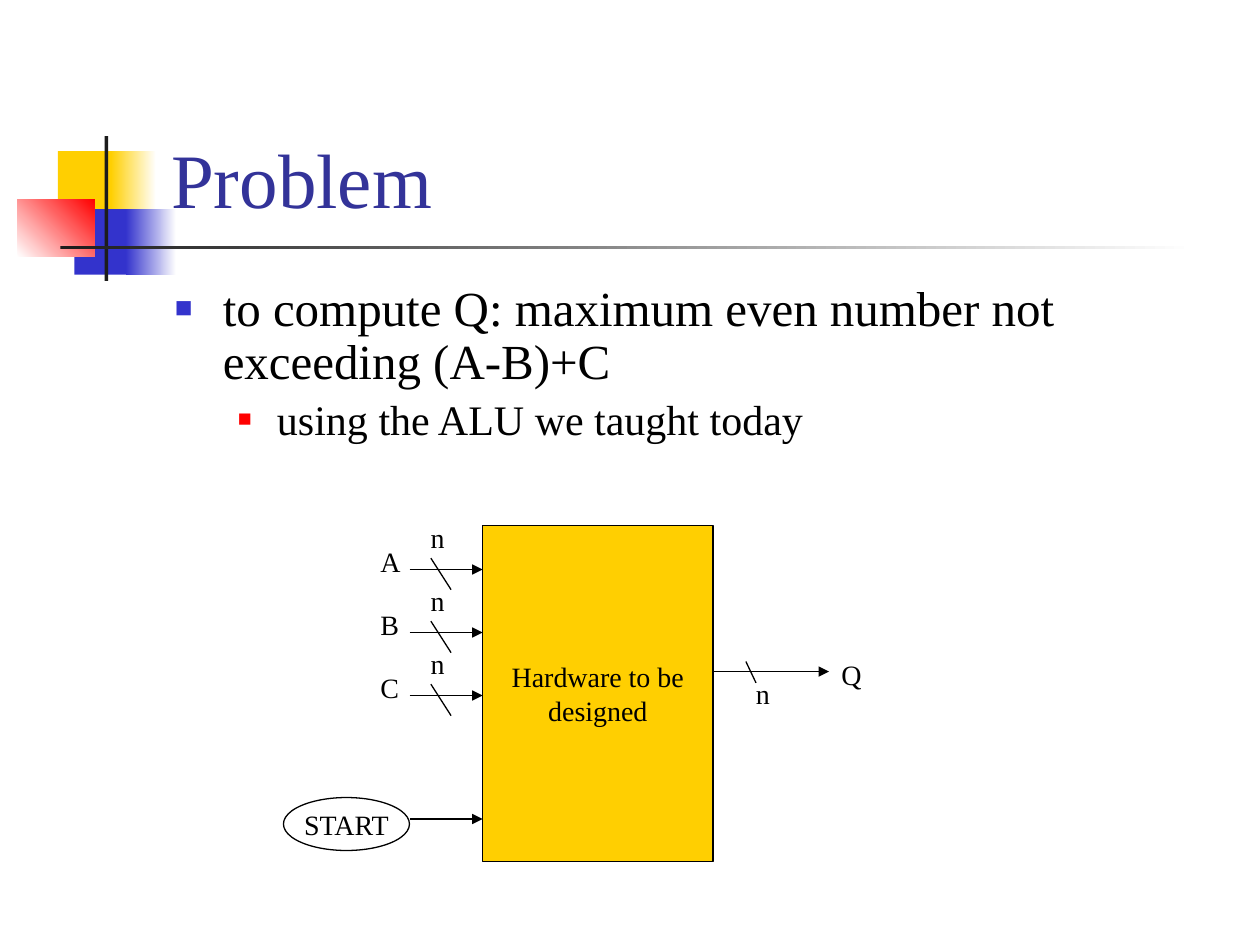
"""Build the slide that poses the hardware design problem."""
from dataclasses import dataclass

from lxml import etree
from pptx import Presentation
from pptx.dml.color import RGBColor
from pptx.enum.shapes import MSO_CONNECTOR, MSO_SHAPE
from pptx.enum.text import MSO_ANCHOR, MSO_AUTO_SIZE, PP_ALIGN
from pptx.oxml.ns import qn
from pptx.util import Inches, Pt

RECTANGLE, OVAL = MSO_SHAPE.RECTANGLE, MSO_SHAPE.OVAL
STRAIGHT = MSO_CONNECTOR.STRAIGHT
TOP, MIDDLE, BOTTOM = MSO_ANCHOR.TOP, MSO_ANCHOR.MIDDLE, MSO_ANCHOR.BOTTOM
CENTER = PP_ALIGN.CENTER
GROW = MSO_AUTO_SIZE.SHAPE_TO_FIT_TEXT


@dataclass(frozen=True)
class Theme:
    font: str = "Times New Roman"
    title_size: int = 44
    label_size: int = 16
    title: str = "333399"
    ink: str = "000000"
    paper: str = "FFFFFF"
    yellow: str = "FFCF01"
    blue: str = "3333CC"
    red: str = "FF0000"
    dark: str = "1C1C1C"
    line_width: float = 0.75


@dataclass(frozen=True)
class Box:
    left: float
    top: float
    width: float
    height: float

    def lengths(self) -> tuple:
        return tuple(Inches(n) for n in (self.left, self.top, self.width, self.height))


@dataclass(frozen=True)
class Decoration:
    box: Box
    start: str
    end: str = ""
    angle: int = 0


@dataclass(frozen=True)
class Bullet:
    text: str
    size: int
    margin: float
    indent: float
    color: str
    scale: int


THEME = Theme()
DECORATIONS = (
    Decoration(Box(0.46, 1.2, 0.48, 0.52), THEME.yellow),
    Decoration(Box(0.88, 1.2, 0.36, 0.52), THEME.yellow, THEME.paper),
    Decoration(Box(0.59, 1.66, 0.46, 0.52), THEME.blue),
    Decoration(Box(1, 1.66, 0.4, 0.52), THEME.blue, THEME.paper),
    Decoration(Box(0.14, 1.58, 0.61, 0.46), THEME.paper, THEME.red, 45),
    Decoration(Box(0.83, 1.08, 0.03, 1.15), THEME.dark),
    Decoration(Box(0.48, 1.95, 9, 0.03), THEME.dark, THEME.paper),
)
BULLETS = (
    Bullet("to compute Q: maximum even number not exceeding (A-B)+C",
           28, 0.38, -0.38, THEME.blue, 60),
    Bullet("using the ALU we taught today", 24, 0.81, -0.31, THEME.red, 55),
)
INPUTS = ("A", "B", "C")
INPUT_TOP, INPUT_STEP = 4.52, 0.5
INPUT_LEFT, HARDWARE_LEFT = 3.25, 3.83


def color(value: str) -> RGBColor:
    return RGBColor.from_string(value)


def style_paragraph(paragraph, size: float, ink: str = THEME.ink) -> None:
    for run in paragraph.runs:
        run.font.name = THEME.font
        run.font.size = Pt(size)
        run.font.color.rgb = color(ink)


def add_text(slide, box: Box, text: str, size: float = THEME.label_size,
             ink: str = THEME.ink, anchor=TOP, wrap: bool = False):
    shape = slide.shapes.add_textbox(*box.lengths())
    frame = shape.text_frame
    frame.text = text
    frame.word_wrap = wrap
    frame.vertical_anchor = anchor
    if not wrap:
        frame.auto_size = GROW
    for paragraph in frame.paragraphs:
        style_paragraph(paragraph, size, ink)
    return frame


def add_decoration(slide, decoration: Decoration) -> None:
    shape = slide.shapes.add_shape(RECTANGLE, *decoration.box.lengths())
    shape.shadow.inherit = False
    shape.line.fill.background()
    if not decoration.end:
        shape.fill.solid()
        shape.fill.fore_color.rgb = color(decoration.start)
        return
    shape.fill.gradient()
    shape.fill.gradient_angle = decoration.angle
    stops = zip(shape.fill.gradient_stops, (decoration.start, decoration.end), (0, 1))
    for stop, value, position in stops:
        stop.color.rgb = color(value)
        stop.position = position


def add_block(slide, kind, box: Box, text: str, fill: str = "") -> None:
    shape = slide.shapes.add_shape(kind, *box.lengths())
    shape.shadow.inherit = False
    shape.line.color.rgb = color(THEME.ink)
    shape.line.width = Pt(THEME.line_width)
    if fill:
        shape.fill.solid()
        shape.fill.fore_color.rgb = color(fill)
    else:
        shape.fill.background()
    frame = shape.text_frame
    frame.text = text
    frame.word_wrap = False
    frame.vertical_anchor = MIDDLE
    for paragraph in frame.paragraphs:
        paragraph.alignment = CENTER
        style_paragraph(paragraph, THEME.label_size)


def add_line(slide, start: tuple[float, float], end: tuple[float, float],
             arrow: bool = False) -> None:
    points = (Inches(n) for n in (*start, *end))
    connector = slide.shapes.add_connector(STRAIGHT, *points)
    connector.line.color.rgb = color(THEME.ink)
    connector.line.width = Pt(THEME.line_width)
    if arrow:
        line = connector.line._get_or_add_ln()
        etree.SubElement(line, qn("a:tailEnd"), type="triangle")
    etree.SubElement(connector._element.spPr, qn("a:effectLst"))


def add_bullets(slide, box: Box, bullets: tuple[Bullet, ...]) -> None:
    frame = add_text(slide, box, "\n".join(b.text for b in bullets), wrap=True)
    for level, (paragraph, bullet) in enumerate(zip(frame.paragraphs, bullets)):
        paragraph.level = level
        paragraph.line_spacing = 0.9
        paragraph.space_before = Pt(bullet.size * 0.2)
        style_paragraph(paragraph, bullet.size)
        properties = paragraph._p.get_or_add_pPr()
        properties.set("marL", str(Inches(bullet.margin)))
        properties.set("indent", str(Inches(bullet.indent)))
        bullet_color = etree.SubElement(properties, qn("a:buClr"))
        etree.SubElement(bullet_color, qn("a:srgbClr"), val=bullet.color)
        etree.SubElement(properties, qn("a:buSzPct"), val=str(bullet.scale * 1000))
        etree.SubElement(properties, qn("a:buFont"), typeface=THEME.font)
        etree.SubElement(properties, qn("a:buChar"), char="■")


def add_input(slide, name: str, y: float) -> None:
    add_line(slide, (INPUT_LEFT, y), (HARDWARE_LEFT, y), arrow=True)
    add_line(slide, (3.42, y - 0.09), (3.58, y + 0.16))
    add_text(slide, Box(3.32, y - 0.44, 0.31, 0.37), "n")
    add_text(slide, Box(2.92, y - 0.25, 0.35, 0.37), name)


def main() -> None:
    presentation = Presentation()
    presentation.slide_width, presentation.slide_height = Inches(10), Inches(7.5)
    slide = presentation.slides.add_slide(presentation.slide_layouts[6])
    for decoration in DECORATIONS:
        add_decoration(slide, decoration)
    add_text(slide, Box(1.26, 0.23, 8.52, 1.6), "Problem",
             THEME.title_size, THEME.title, BOTTOM, wrap=True)
    add_bullets(slide, Box(1.29, 2.21, 8.5, 1.46), BULLETS)
    add_block(slide, RECTANGLE, Box(HARDWARE_LEFT, 4.17, 1.83, 2.67),
              "Hardware to be\ndesigned", THEME.yellow)
    for index, name in enumerate(INPUTS):
        add_input(slide, name, INPUT_TOP + index * INPUT_STEP)
    add_line(slide, (INPUT_LEFT, 6.5), (HARDWARE_LEFT, 6.5), arrow=True)
    add_block(slide, OVAL, Box(2.25, 6.33, 1, 0.42), "START")
    add_line(slide, (5.67, 5.33), (6.58, 5.33), arrow=True)
    add_line(slide, (5.92, 5.25), (6, 5.42))
    add_text(slide, Box(5.9, 5.32, 0.31, 0.37), "n")
    add_text(slide, Box(6.58, 5.17, 0.36, 0.37), "Q")
    presentation.save("out.pptx")


if __name__ == "__main__":
    main()
